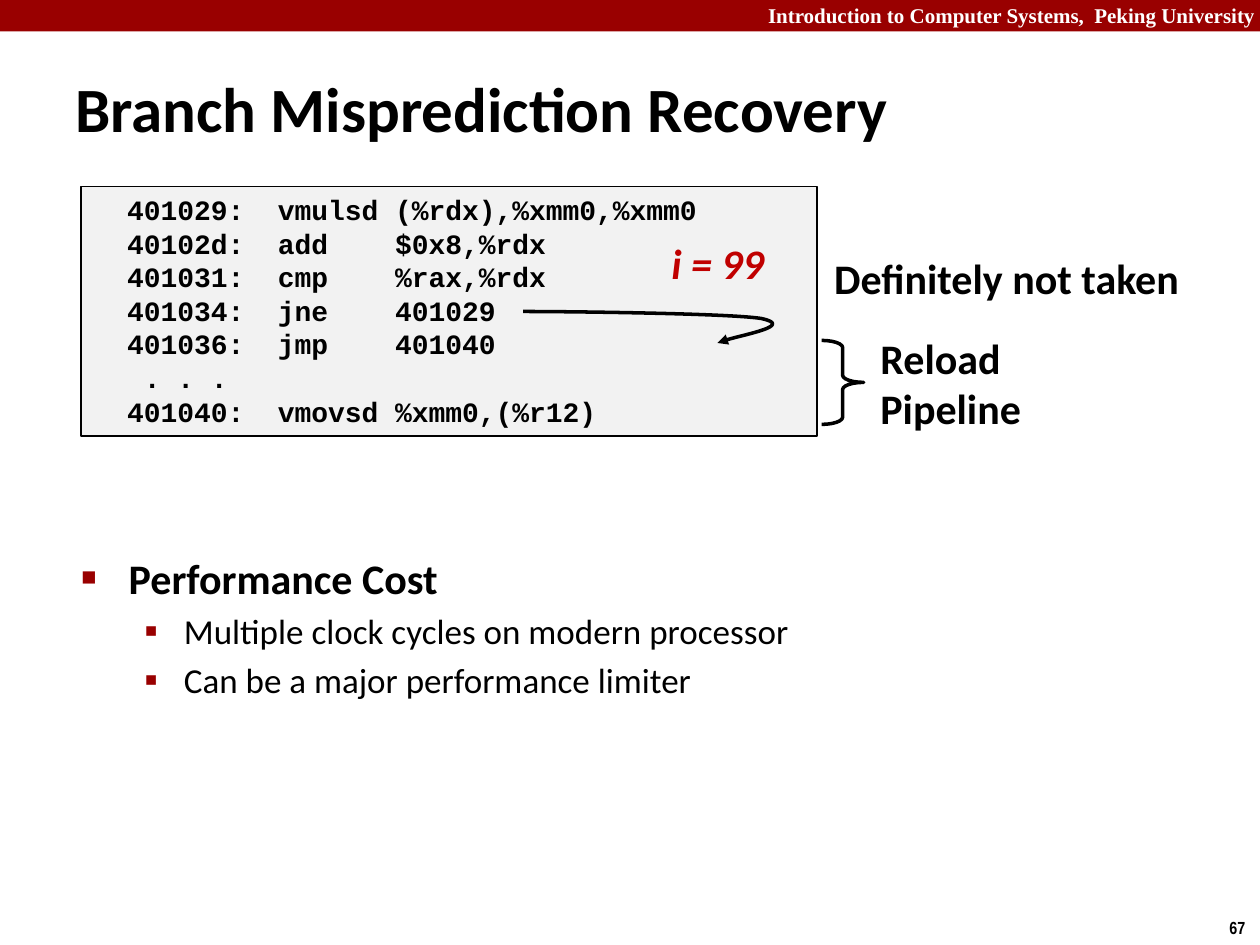
from pptx import Presentation
from pptx.dml.color import RGBColor as Color
from pptx.enum.shapes import MSO_SHAPE as Shape
from pptx.enum.text import MSO_ANCHOR as Anchor, PP_ALIGN as Align
from pptx.oxml.ns import qn
from pptx.util import Pt
from lxml.etree import SubElement

BLACK, WHITE, RED, DARK_RED, GREY = "000000", "FFFFFF", "C00000", "990000", "F2F2F2"
LABEL = {"name": "Calibri", "size": Pt(24), "bold": True}
DETAIL = {"name": "Calibri", "size": Pt(20), "bold": False}
CODE_FONT = {"name": "Courier New", "size": Pt(16), "bold": True}
CODE = [
    "  401029:  vmulsd (%rdx),%xmm0,%xmm0",
    "  40102d:  add    $0x8,%rdx",
    "  401031:  cmp    %rax,%rdx",
    "  401034:  jne    401029",
    "  401036:  jmp    401040",
    "   . . .",
    "  401040:  vmovsd %xmm0,(%r12)",
]
LEVELS = [
    {"font": LABEL, "mark": "■", "percent": 60, "margin": 27, "hang": 27},
    {"font": DETAIL, "mark": "▪", "percent": 110, "margin": 58.5, "hang": 22.5},
]
POINTS = [
    (0, "Performance Cost"),
    (1, "Multiple clock cycles on modern processor"),
    (1, "Can be a major performance limiter"),
]
JUMP_START = (299, 178)
JUMP_CURVE = [(321.5, 178.5), (416, 179), (435, 182.5), (453.5, 186), (415.5, 193), (410.5, 196)]


def color(value):
    return Color.from_string(value)


def apply_format(target, values):
    for name, value in values.items():
        setattr(target, name, value)


def write_line(para, text, font, text_color):
    span = para.add_run()
    span.text = text
    apply_format(span.font, font)
    span.font.color.rgb = color(text_color)


def write_lines(frame, lines, font, text_color, align=Align.LEFT):
    for index, text in enumerate(lines):
        para = frame.add_paragraph() if index else frame.paragraphs[0]
        para.alignment = align
        write_line(para, text, font, text_color)


def add_text(page, place, lines, font, text_color=BLACK, align=Align.LEFT, **frame_format):
    box = page.shapes.add_textbox(*map(Pt, place))
    apply_format(box.text_frame, frame_format)
    write_lines(box.text_frame, lines, font, text_color, align)


def style_shape(shape, fill=None, line=None, width=1):
    shape.shadow.inherit = False
    if fill:
        shape.fill.solid()
        shape.fill.fore_color.rgb = color(fill)
    else:
        shape.fill.background()
    if line:
        shape.line.color.rgb = color(line)
        shape.line.width = Pt(width)
    else:
        shape.line.fill.background()


def add_shape(page, kind, place, **style):
    shape = page.shapes.add_shape(kind, *map(Pt, place))
    style_shape(shape, **style)
    return shape


def add_code(page, place, lines):
    box = add_shape(page, Shape.RECTANGLE, place, fill=GREY, line=BLACK)
    apply_format(box.text_frame, {"word_wrap": True, "vertical_anchor": Anchor.TOP})
    write_lines(box.text_frame, lines, CODE_FONT, BLACK)


def add_bullets(page, place, points):
    frame = page.shapes.add_textbox(*map(Pt, place)).text_frame
    frame.word_wrap = True
    for index, (level, text) in enumerate(points):
        style = LEVELS[level]
        para = frame.add_paragraph() if index else frame.paragraphs[0]
        para.level = level
        if index:
            para.space_before = Pt(4)
        properties = para._p.get_or_add_pPr()
        properties.set("marL", str(Pt(style["margin"])))
        properties.set("indent", str(-Pt(style["hang"])))
        SubElement(SubElement(properties, qn("a:buClr")), qn("a:srgbClr"), val=DARK_RED)
        SubElement(properties, qn("a:buSzPct"), val=str(style["percent"] * 1000))
        SubElement(properties, qn("a:buFont"), typeface="Times New Roman")
        SubElement(properties, qn("a:buChar"), char=style["mark"])
        write_line(para, text, style["font"], BLACK)


def add_curved_arrow(page, start, controls):
    builder = page.shapes.build_freeform(*start, scale=Pt(1))
    builder.add_line_segments(controls, close=False)
    arrow = builder.convert_to_shape()
    style_shape(arrow, line=BLACK, width=2)
    outline = arrow._element.spPr.find(".//" + qn("a:path"))
    segments = outline.findall(qn("a:lnTo"))
    for first in range(0, len(segments), 3):
        curve = SubElement(outline, qn("a:cubicBezTo"))
        for segment in segments[first:first + 3]:
            curve.append(segment[0])
            outline.remove(segment)
    SubElement(arrow.line._get_or_add_ln(), qn("a:tailEnd"), type="triangle")


def main():
    deck = Presentation()
    deck.slide_width, deck.slide_height = Pt(720), Pt(540)
    page = deck.slides.add_slide(deck.slide_layouts[6])

    add_shape(page, Shape.RECTANGLE, (0, 0, 720, 18), fill=DARK_RED)
    add_text(page, (414, -2, 310.5, 22), ["Introduction to Computer Systems,  Peking University"],
             {"name": "Times New Roman", "size": Pt(12), "bold": True}, WHITE, Align.RIGHT,
             word_wrap=True)
    add_text(page, (695.5, 520.5, 24.5, 19.5), ["67"],
             {"name": "Arial Narrow", "size": Pt(10), "bold": True}, word_wrap=False)
    add_text(page, (36, 39, 595, 45), ["Branch Misprediction Recovery"],
             {"name": "Calibri", "size": Pt(36), "bold": True},
             word_wrap=True, vertical_anchor=Anchor.MIDDLE)

    add_bullets(page, (39.5, 312, 631, 108), POINTS)
    add_code(page, (46.5, 106.5, 420.5, 142.5), CODE)
    add_curved_arrow(page, JUMP_START, JUMP_CURVE)
    add_text(page, (376.5, 132, 68, 36), ["i = 99"], {**LABEL, "italic": True}, RED, word_wrap=False)
    add_text(page, (469.5, 141, 214, 36), ["Definitely not taken"], LABEL, word_wrap=False)
    brace = add_shape(page, Shape.RIGHT_BRACE, (469.5, 194.5, 24, 48), line=BLACK, width=2)
    brace.adjustments[0] = 0.17
    add_text(page, (496, 186.5, 96, 65.5), ["Reload", "Pipeline"], LABEL, word_wrap=False)

    deck.save("out.pptx")


if __name__ == "__main__":
    main()
